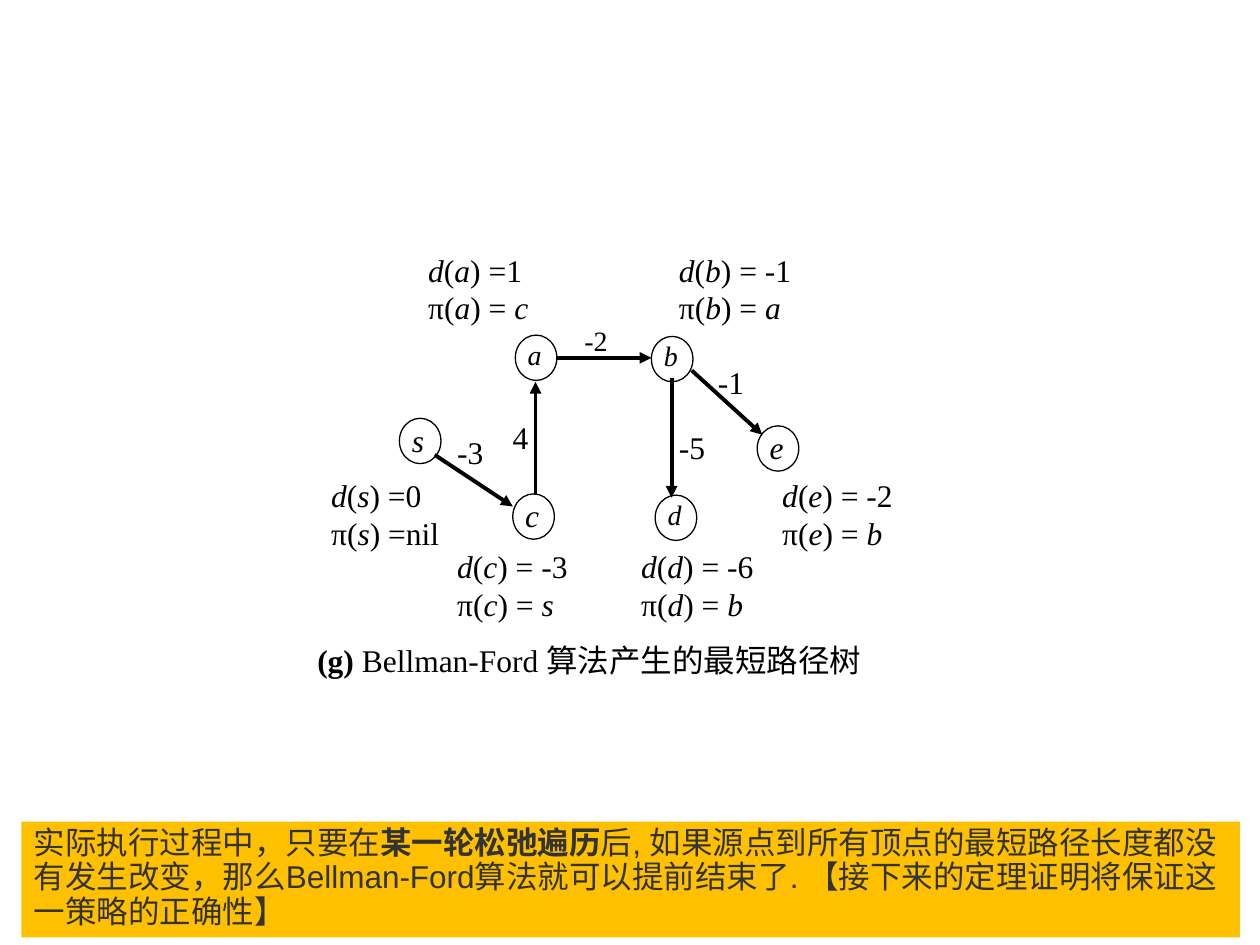
from lxml import etree
from pptx import Presentation
from pptx.dml.color import RGBColor
from pptx.enum.shapes import MSO_CONNECTOR as Connector, MSO_SHAPE as Shape
from pptx.enum.text import MSO_ANCHOR as Anchor, PP_ALIGN as Align
from pptx.oxml.ns import qn
from pptx.util import Inches, Pt

COLORS = {"ink": "000000", "paper": "FFFFFF", "note": "FFC000", "note_text": "333333"}
SERIF, SANS = "Times New Roman", "Arial"
NODE_W, NODE_H = 0.33, 0.36

# vertex: left, top, letter size
VERTICES = {
    "a": (4.09, 2.66, 16),
    "c": (4.07, 3.92, 18),
    "e": (6.01, 3.38, 18),
    "b": (5.17, 2.67, 16),
    "d": (5.20, 3.93, 16),
    "s": (3.17, 3.32, 18),
}
# start, end, weight, weight left, weight top, weight size
EDGES = [
    ((4.42, 2.84), (5.17, 2.84), "-2", 4.54, 2.52, 16),
    ((4.25, 3.93), (4.25, 3.03), "4", 3.97, 3.27, 18),
    ((5.49, 2.94), (6.05, 3.45), "-1", 5.60, 2.83, 18),
    ((5.33, 3.00), (5.33, 3.95), "-5", 5.29, 3.35, 18),
    ((3.45, 3.61), (4.07, 4.02), "-3", 3.53, 3.39, 18),
]
# vertex, distance, parent, left, top
RESULTS = [
    ("a", "=1", "= c", 3.30, 1.94),
    ("b", "= -1", "= a", 5.29, 1.94),
    ("c", "= -3", "= s", 3.53, 4.29),
    ("s", "=0", "=nil", 2.53, 3.73),
    ("d", "= -6", "= b", 4.99, 4.29),
    ("e", "= -2", "= b", 6.11, 3.73),
]


def color(name):
    return RGBColor.from_string(COLORS[name])


class GraphSlide:
    """Holds the current slide and draws the parts of a graph in one style."""

    def __init__(self, slide):
        self.shapes = slide.shapes

    def add_runs(self, paragraph, parts, size=18, font=SERIF, ink="ink"):
        """Add (text, style) parts; style may hold b for bold, i for italic."""
        for text, style in parts:
            run = paragraph.add_run()
            run.text = text
            run.font.name = font
            run.font.size = Pt(size)
            run.font.bold = "b" in style
            run.font.italic = "i" in style
            run.font.color.rgb = color(ink)

    def label(self, left, top, width, height, lines, size=18):
        box = self.shapes.add_textbox(Inches(left), Inches(top), Inches(width), Inches(height))
        frame = box.text_frame
        frame.word_wrap = True
        for index, parts in enumerate(lines):
            paragraph = frame.add_paragraph() if index else frame.paragraphs[0]
            self.add_runs(paragraph, parts, size)

    def vertex(self, letter, left, top, size):
        circle = self.shapes.add_shape(
            Shape.OVAL, Inches(left), Inches(top), Inches(NODE_W), Inches(NODE_H))
        circle.shadow.inherit = False
        circle.fill.solid()
        circle.fill.fore_color.rgb = color("paper")
        circle.line.color.rgb = color("ink")
        circle.line.width = Pt(0.75)
        self.label(left, top - 0.03, 0.43, 0.42, [[(letter, "i")]], size)

    def arrow(self, start, end):
        edge = self.shapes.add_connector(
            Connector.STRAIGHT, *(Inches(value) for value in start + end))
        edge.line.color.rgb = color("ink")
        edge.line.width = Pt(2.25)
        properties = edge._element.spPr
        etree.SubElement(properties.find(qn("a:ln")), qn("a:tailEnd"), type="triangle")
        etree.SubElement(properties, qn("a:effectLst"))

    def result(self, vertex, distance, parent, left, top):
        if parent.startswith("= "):
            parent_parts = [(") = ", ""), (parent[2:], "i")]
        else:
            parent_parts = [(") " + parent, "")]
        self.label(left, top, 1.31, 0.67, [
            [("d", "i"), ("(", ""), (vertex, "i"), (") " + distance, "")],
            [("π(", ""), (vertex, "i")] + parent_parts,
        ])

    def note(self, left, top, width, height, parts):
        band = self.shapes.add_shape(
            Shape.RECTANGLE, Inches(left), Inches(top), Inches(width), Inches(height))
        band.shadow.inherit = False
        band.fill.solid()
        band.fill.fore_color.rgb = color("note")
        band.line.fill.background()
        frame = band.text_frame
        frame.word_wrap = True
        frame.vertical_anchor = Anchor.TOP
        paragraph = frame.paragraphs[0]
        paragraph.alignment = Align.LEFT
        paragraph.line_spacing = 0.9
        self.add_runs(paragraph, parts, font=SANS, ink="note_text")


def main():
    deck = Presentation()
    deck.slide_width, deck.slide_height = Inches(10), Inches(7.5)
    tree = GraphSlide(deck.slides.add_slide(deck.slide_layouts[6]))

    for letter, (left, top, size) in VERTICES.items():
        tree.vertex(letter, left, top, size)
    for start, end, weight, left, top, size in EDGES:
        tree.arrow(start, end)
        tree.label(left, top, 0.63, 0.42, [[(weight, "")]], size)
    for result in RESULTS:
        tree.result(*result)

    tree.label(2.42, 5.04, 4.86, 0.62,
               [[("(g) ", "b"), ("Bellman-Ford 算法产生的最短路径树", "")]])
    tree.note(0.17, 6.52, 9.67, 0.92, [
        ("实际执行过程中，只要在", ""),
        ("某一轮松弛遍历", "b"),
        ("后, 如果源点到所有顶点的最短路径长度都没有发生改变，那么Bellman-Ford算法"
         "就可以提前结束了. 【接下来的定理证明将保证这一策略的正确性】", ""),
    ])
    deck.save("out.pptx")


if __name__ == "__main__":
    main()
